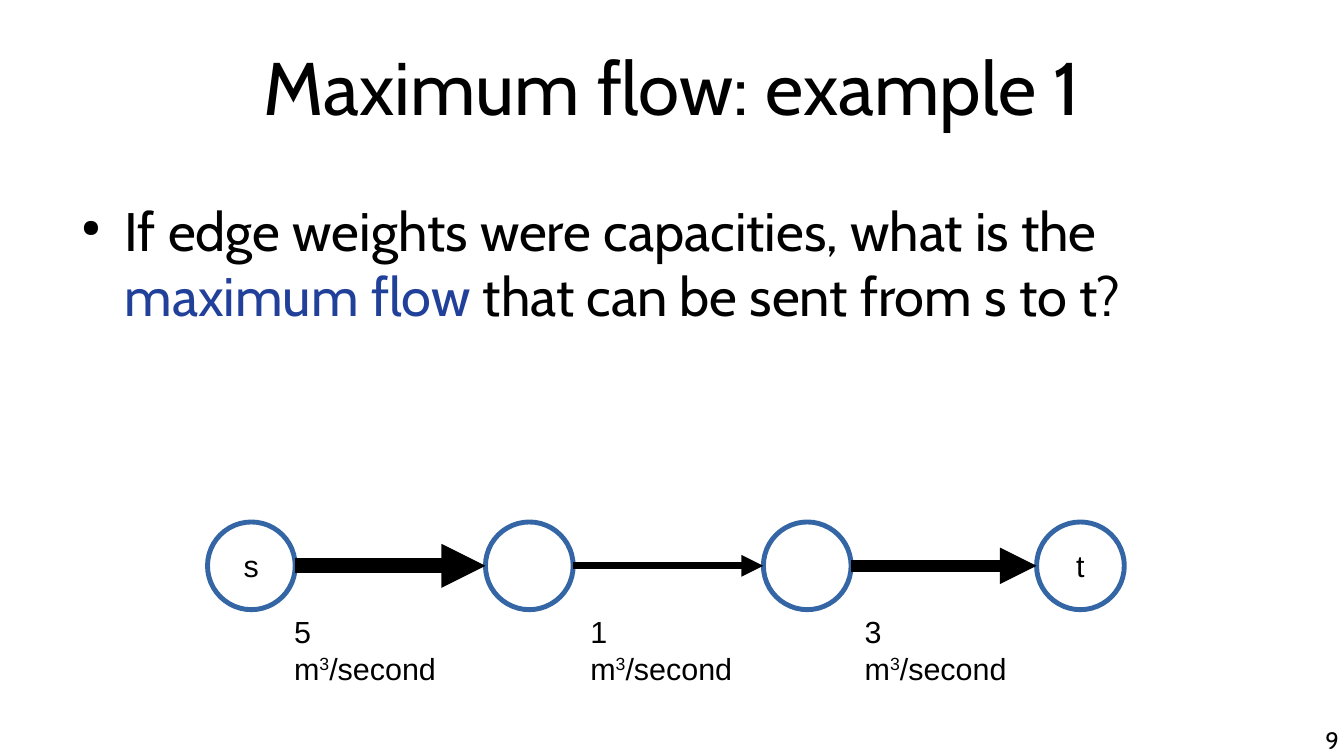
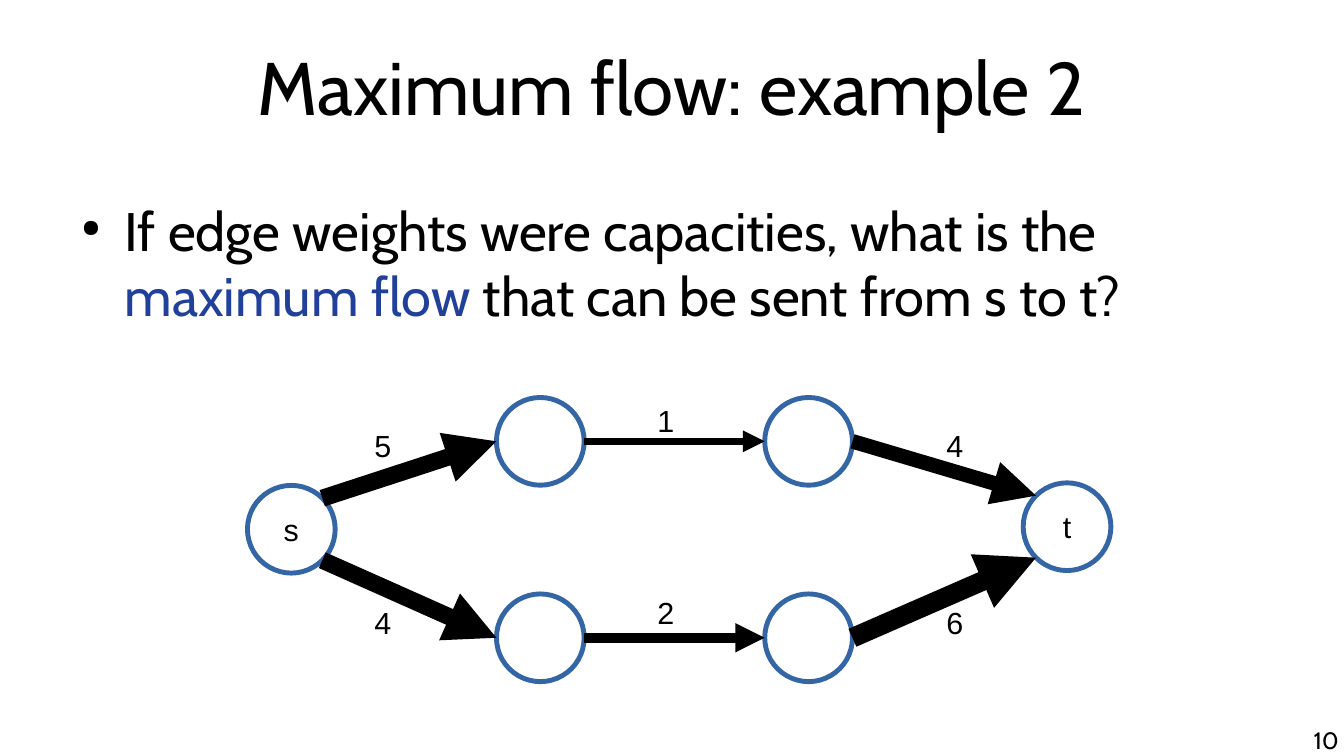
from lxml import etree
from pptx import Presentation
from pptx.dml.color import RGBColor
from pptx.enum.shapes import MSO_CONNECTOR, MSO_SHAPE
from pptx.enum.text import MSO_ANCHOR, MSO_AUTO_SIZE, PP_ALIGN
from pptx.oxml.ns import qn
from pptx.util import Pt

LEFT, CENTER, RIGHT = PP_ALIGN.LEFT, PP_ALIGN.CENTER, PP_ALIGN.RIGHT
TOP, MIDDLE = MSO_ANCHOR.TOP, MSO_ANCHOR.MIDDLE
FIT_SHAPE = MSO_AUTO_SIZE.SHAPE_TO_FIT_TEXT
ELLIPSE, STRAIGHT = MSO_SHAPE.OVAL, MSO_CONNECTOR.STRAIGHT

COLORS = {"text": "000000", "accent": "21409A", "node": "3465A4", "paper": "FFFFFF"}
HEADING_FONT, GRAPH_FONT = "Cabin", "Arial"
SLIDE_WIDTH, SLIDE_HEIGHT = 793.5, 446.4
MARGIN, CONTENT_WIDTH = 39.6, 714.2
NODE_SIZE, NODE_LINE = 51.8, 2.89
LABEL_HEIGHT = 31.7
DIAGONAL = 0.5 ** 0.5
SIDES = {
    "left": (-1, 0),
    "right": (1, 0),
    "upper left": (-DIAGONAL, -DIAGONAL),
    "upper right": (DIAGONAL, -DIAGONAL),
    "lower left": (-DIAGONAL, DIAGONAL),
    "lower right": (DIAGONAL, DIAGONAL),
}

QUESTION = [
    ("If edge weights were capacities, what is the ", "text"),
    ("maximum flow", "accent"),
    (" that can be sent from s to t?", "text"),
]

CHAIN_Y, UPPER_Y, LOWER_Y = 334.1, 260.6, 376.6
SLIDES = [
    {
        "title": "Maximum flow: example 1",
        "number": "9",
        "nodes": {"s": (148.4, CHAIN_Y), "a": (312.5, CHAIN_Y),
                  "b": (476.6, CHAIN_Y), "t": (637.9, CHAIN_Y)},
        "edges": [
            ("s", "right", "a", "left", 8.65),
            ("a", "right", "b", "left", 4.31),
            ("b", "right", "t", "left", 7.2),
        ],
        "label width": 117.4,
        "unit": [(" m", 0), ("3", 33000), ("/second", 0)],
        "labels": [("5", 164.2, 356.4), ("1", 339.1, 356.4), ("3", 501.1, 356.4)],
    },
    {
        "title": "Maximum flow: example 2",
        "number": "10",
        "nodes": {"s": (172, 312.5), "t": (630, 311),
                  "a": (319, UPPER_Y), "b": (477.4, UPPER_Y),
                  "c": (319, LOWER_Y), "d": (477.4, LOWER_Y)},
        "edges": [
            ("s", "upper right", "a", "left", 10.09),
            ("a", "right", "b", "left", 4.31),
            ("b", "right", "t", "upper left", 8.65),
            ("s", "lower right", "c", "left", 10.09),
            ("c", "right", "d", "left", 5.75),
            ("d", "right", "t", "lower left", 11.5),
        ],
        "label width": 28.8,
        "unit": [],
        "labels": [("5", 211.7, 246.2), ("4", 211.7, 350.6),
                   ("4", 549.4, 246.2), ("6", 549.4, 350.6),
                   ("1", 378.7, 231.8), ("2", 378.7, 344.9)],
    },
]


def color(name):
    return RGBColor.from_string(COLORS[name])


def add_run(paragraph, text, font, size, color_name="text", baseline=0):
    run = paragraph.add_run()
    run.text = text
    run.font.name = font
    run.font.size = Pt(size)
    run.font.color.rgb = color(color_name)
    if baseline:
        run._r.get_or_add_rPr().set("baseline", str(baseline))


def format_frame(frame, horizontal=0, vertical=0, anchor=TOP, align=LEFT, wrap=True):
    frame.margin_left = frame.margin_right = Pt(horizontal)
    frame.margin_top = frame.margin_bottom = Pt(vertical)
    frame.vertical_anchor = anchor
    frame.word_wrap = wrap
    paragraph = frame.paragraphs[0]
    paragraph.alignment = align
    return paragraph


def add_text_box(slide, left, top, width, height, **style):
    box = slide.shapes.add_textbox(Pt(left), Pt(top), Pt(width), Pt(height))
    return box.text_frame, format_frame(box.text_frame, **style)


def add_bullet(paragraph):
    paragraph.space_before = Pt(14.1)
    properties = paragraph._p.get_or_add_pPr()
    properties.set("marL", str(Pt(34)))
    properties.set("indent", str(-Pt(25.5)))
    bullet_color = etree.SubElement(properties, qn("a:buClr"))
    etree.SubElement(bullet_color, qn("a:srgbClr"), val=COLORS["text"])
    etree.SubElement(properties, qn("a:buSzPct"), val="45000")
    etree.SubElement(properties, qn("a:buChar"), char="●")


def add_frame(slide, title, number):
    _, paragraph = add_text_box(slide, MARGIN, 0.7, CONTENT_WIDTH, 99.4,
                                anchor=MIDDLE, align=CENTER)
    add_run(paragraph, title, HEADING_FONT, 44)
    _, paragraph = add_text_box(slide, MARGIN, 116.6, CONTENT_WIDTH, 98.6)
    add_bullet(paragraph)
    for text, color_name in QUESTION:
        add_run(paragraph, text, HEADING_FONT, 32, color_name)
    _, paragraph = add_text_box(slide, 605.5, 428.4, 185, 18, align=RIGHT)
    add_run(paragraph, number, HEADING_FONT, 14)


def add_node(slide, name, center):
    x, y = (value - NODE_SIZE / 2 for value in center)
    node = slide.shapes.add_shape(ELLIPSE, Pt(x), Pt(y), Pt(NODE_SIZE), Pt(NODE_SIZE))
    node.shadow.inherit = False
    node.fill.solid()
    node.fill.fore_color.rgb = color("paper")
    node.line.color.rgb = color("node")
    node.line.width = Pt(NODE_LINE)
    if name in ("s", "t"):
        paragraph = format_frame(node.text_frame, 8.6, 5, MIDDLE, CENTER, False)
        add_run(paragraph, name, GRAPH_FONT, 18)


def node_point(center, side):
    return [Pt(value + NODE_SIZE / 2 * step) for value, step in zip(center, SIDES[side])]


def add_edge(slide, start, end, width):
    edge = slide.shapes.add_connector(STRAIGHT, *start, *end)
    edge.line.color.rgb = color("text")
    edge.line.width = Pt(width)
    etree.SubElement(edge.line._get_or_add_ln(), qn("a:tailEnd"), type="triangle")
    etree.SubElement(edge._element.spPr, qn("a:effectLst"))


def add_label(slide, capacity, left, top, width, unit):
    frame, paragraph = add_text_box(slide, left, top, width, LABEL_HEIGHT,
                                    horizontal=9.4, vertical=5.8, wrap=False)
    frame.auto_size = FIT_SHAPE
    for text, baseline in [(capacity, 0)] + unit:
        add_run(paragraph, text, GRAPH_FONT, 18, baseline=baseline)


def add_graph(slide, content):
    nodes = content["nodes"]
    for name, center in nodes.items():
        add_node(slide, name, center)
    for source, source_side, target, target_side, width in content["edges"]:
        add_edge(slide, node_point(nodes[source], source_side),
                 node_point(nodes[target], target_side), width)
    for capacity, left, top in content["labels"]:
        add_label(slide, capacity, left, top, content["label width"], content["unit"])


def main():
    presentation = Presentation()
    presentation.slide_width = Pt(SLIDE_WIDTH)
    presentation.slide_height = Pt(SLIDE_HEIGHT)
    blank_layout = presentation.slide_layouts[6]
    for content in SLIDES:
        slide = presentation.slides.add_slide(blank_layout)
        add_frame(slide, content["title"], content["number"])
        add_graph(slide, content)
    presentation.save("out.pptx")


if __name__ == "__main__":
    main()
